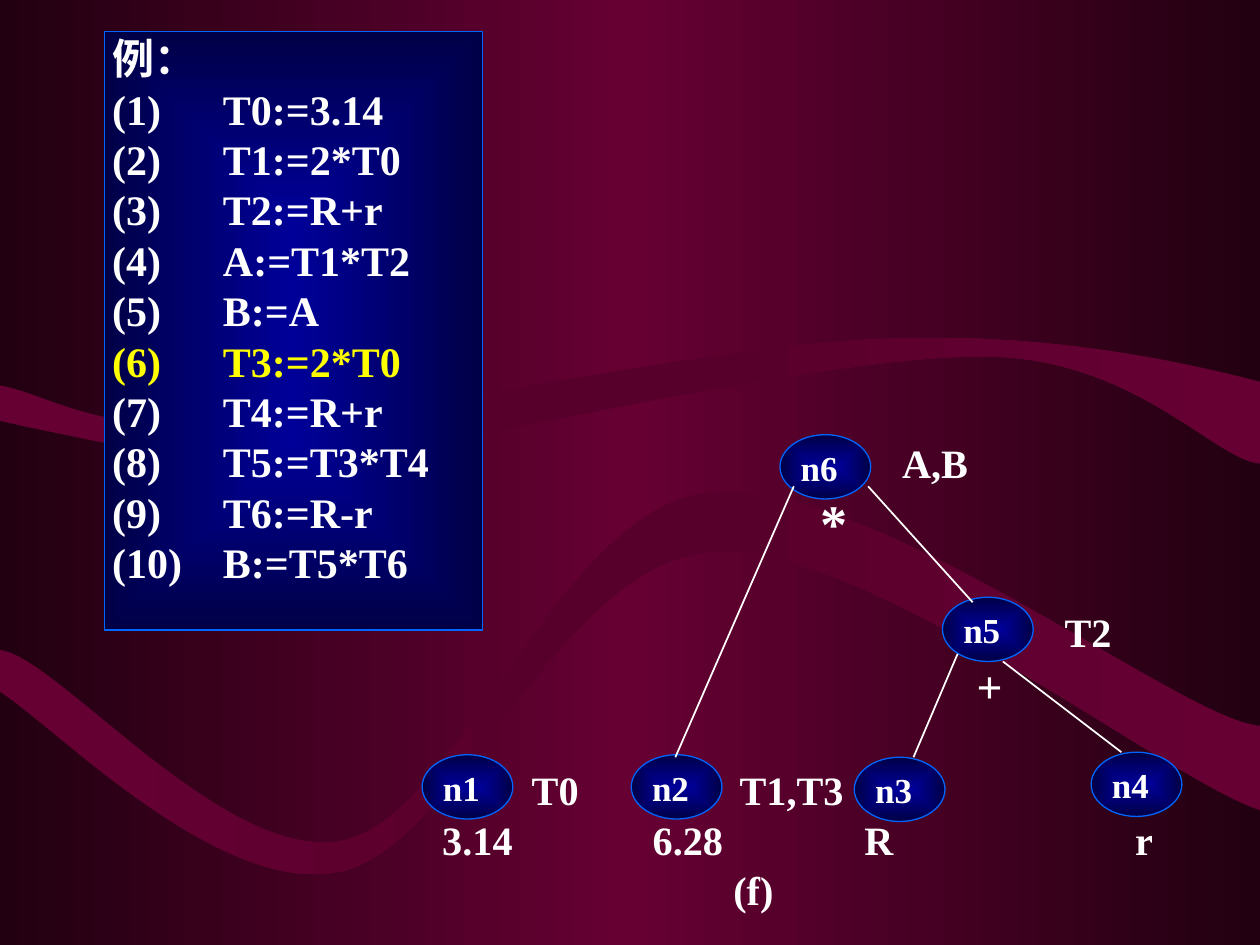
from typing import NamedTuple

from lxml import etree
from pptx import Presentation
from pptx.dml.color import RGBColor
from pptx.enum import shapes as kinds, text as modes
from pptx.oxml import ns
from pptx.util import Inches, Pt

WHITE = RGBColor(0xFF, 0xFF, 0xFF)
YELLOW = RGBColor(0xFF, 0xFF, 0x00)
EDGE = RGBColor(0x00, 0x66, 0xFF)
NAVY = RGBColor(0x00, 0x00, 0x47)
BLUE = RGBColor(0x00, 0x00, 0x99)
DARK = RGBColor(0x22, 0x00, 0x11)
WINE = RGBColor(0x66, 0x00, 0x33)
PLUM = RGBColor(0x56, 0x00, 0x2B)
FONT = "Times New Roman"


class Node(NamedTuple):
    name: str
    left: float
    top: float


class Label(NamedTuple):
    text: str
    left: float
    top: float
    width: float
    size: int = 23
    tabs: tuple = ()


class Edge(NamedTuple):
    x1: float
    y1: float
    x2: float
    y2: float


class Band(NamedTuple):
    upper: list
    lower: list


BANDS = [
    Band(
        [(0, 3.34), (0.37, 3.43), (1.75, 3.7), (2.22, 3.75), (2.69, 3.8),
         (1.9, 3.79), (2.82, 3.64), (3.75, 3.48), (6.6, 2.82), (7.8, 2.83),
         (9, 2.83), (9.63, 3.65), (10, 3.68)],
        [(10, 3.03), (9.5, 2.9), (8.36, 2.63), (7.01, 2.69), (5.66, 2.74),
         (3.07, 3.32), (1.9, 3.38), (0.73, 3.44), (0.4, 3.13), (0, 3.06)],
    ),
    Band(
        [(0, 5.49), (0.45, 5.78), (1.74, 7.11), (2.69, 6.92), (3.63, 6.74),
         (4.43, 4.46), (5.65, 4.38), (6.87, 4.29), (9.27, 6.2), (10, 6.43)],
        [(10, 5.76), (9.38, 5.72), (6.91, 3.77), (5.62, 3.91), (4.41, 4.06),
         (3.67, 6.46), (2.73, 6.67), (1.79, 6.87), (0.45, 5.2), (0, 5.16)],
    ),
]
NODES = [
    Node("n1", 3.35, 5.99), Node("n2", 5.01, 5.99), Node("n3", 6.78, 6.01),
    Node("n4", 8.66, 5.97), Node("n5", 7.48, 4.74), Node("n6", 6.19, 3.45),
]
LABELS = [
    Label("A,B", 7.16, 3.48, 0.56), Label("*", 6.51, 3.88, 0.22, 31),
    Label("T2", 8.45, 4.82, 0.4), Label("+", 7.75, 5.22, 0.21, 26),
    Label("T0\tT1,T3", 4.22, 6.07, 2.5, tabs=(1.65,)),
    Label("3.14\t6.28\tR\tr", 3.51, 6.47, 5.65, tabs=(1.67, 3.35, 5.5)),
    Label("(f)", 5.82, 6.87, 0.33),
]
EDGES = [
    Edge(6.3, 3.86, 5.36, 6.01), Edge(6.89, 3.86, 7.72, 4.78),
    Edge(7.6, 5.19, 7.25, 6.01), Edge(7.96, 5.25, 8.9, 5.97),
]
CODE = ["T0:=3.14", "T1:=2*T0", "T2:=R+r", "A:=T1*T2", "B:=A",
        "T3:=2*T0", "T4:=R+r", "T5:=T3*T4", "T6:=R-r", "B:=T5*T6"]
ACTIVE = 6


def shade(fill, root, colors: list, radial: bool = False) -> None:
    fill.gradient()
    grad = next(root.iter(ns.qn("a:gradFill")))
    for child in list(grad):
        grad.remove(child)
    stops = etree.SubElement(grad, ns.qn("a:gsLst"))
    for i, color in enumerate(colors):
        place = str(100000 * i // (len(colors) - 1))
        stop = etree.SubElement(stops, ns.qn("a:gs"), pos=place)
        etree.SubElement(stop, ns.qn("a:srgbClr"), val=str(color))
    if radial:
        way = etree.SubElement(grad, ns.qn("a:path"), path="rect")
        sides = dict.fromkeys("ltrb", "50000")
        etree.SubElement(way, ns.qn("a:fillToRect"), **sides)
    else:
        etree.SubElement(grad, ns.qn("a:lin"), ang="0", scaled="1")


def bend(lines: list) -> None:
    for i in range(0, len(lines), 3):
        arc = etree.Element(ns.qn("a:cubicBezTo"))
        lines[i].addprevious(arc)
        for line in lines[i:i + 3]:
            arc.append(line[0])
            line.getparent().remove(line)


def add_band(slide, band: Band) -> None:
    points = [(Inches(x), Inches(y)) for x, y in band.upper + band.lower]
    form = slide.shapes.build_freeform(*points[0])
    form.add_line_segments(points[1:], close=True)
    shape = form.convert_to_shape()
    lines = list(shape.element.iter(ns.qn("a:lnTo")))
    turn = len(band.upper)
    bend(lines[:turn - 1])
    bend(lines[turn:turn + len(band.lower) - 1])
    shape.shadow.inherit = False
    shape.line.fill.background()
    shade(shape.fill, shape.element, [WINE, PLUM, WINE])


def add_tabs(par, stops: tuple) -> None:
    tabs = etree.SubElement(par._p.get_or_add_pPr(), ns.qn("a:tabLst"))
    for stop in stops:
        etree.SubElement(tabs, ns.qn("a:tab"), pos=str(Inches(stop)), algn="l")


def style(par, size: int, color: RGBColor = WHITE) -> None:
    par.alignment = modes.PP_ALIGN.LEFT
    for run in par.runs:
        run.font.name = FONT
        run.font.size = Pt(size)
        run.font.bold = True
        run.font.color.rgb = color


def inset(frame, left: float, top: float, right: float, base: float) -> None:
    frame.margin_left, frame.margin_top = Inches(left), Inches(top)
    frame.margin_right, frame.margin_bottom = Inches(right), Inches(base)


def add_panel(slide, kind, left: float, top: float, width: float, height: float):
    shape = slide.shapes.add_shape(
        kind, Inches(left), Inches(top), Inches(width), Inches(height))
    shape.shadow.inherit = False
    shape.line.color.rgb = EDGE
    shape.line.width = Pt(0.75)
    shade(shape.fill, shape.element, [BLUE, NAVY], radial=True)
    return shape


def add_node(slide, node: Node) -> None:
    shape = add_panel(slide, kinds.MSO_SHAPE.OVAL, node.left, node.top, 0.72, 0.51)
    frame = shape.text_frame
    inset(frame, 0.06, 0.01, 0, 0)
    frame.vertical_anchor = modes.MSO_ANCHOR.MIDDLE
    frame.text = node.name
    style(frame.paragraphs[0], 20)


def add_label(slide, label: Label) -> None:
    box = slide.shapes.add_textbox(
        Inches(label.left), Inches(label.top),
        Inches(label.width), Inches(label.size / 60))
    frame = box.text_frame
    inset(frame, 0, 0, 0, 0)
    frame.word_wrap = False
    frame.text = label.text
    par = frame.paragraphs[0]
    if label.tabs:
        add_tabs(par, label.tabs)
    style(par, label.size)


def add_edge(slide, edge: Edge) -> None:
    line = slide.shapes.add_connector(
        kinds.MSO_CONNECTOR.STRAIGHT, *(Inches(v) for v in edge))
    line.line.color.rgb = WHITE
    line.line.width = Pt(1)
    etree.SubElement(line.element.spPr, ns.qn("a:effectLst"))


def add_code(slide) -> None:
    shape = add_panel(slide, kinds.MSO_SHAPE.RECTANGLE, 0.83, 0.25, 3, 4.75)
    frame = shape.text_frame
    inset(frame, 0.06, 0.01, 0.06, 0.01)
    frame.vertical_anchor = modes.MSO_ANCHOR.TOP
    rows = [f"({i})\t{code}" for i, code in enumerate(CODE, 1)]
    frame.text = "\n".join(["例："] + rows)
    for i, par in enumerate(frame.paragraphs):
        par.line_spacing = Pt(28.8)
        add_tabs(par, (0.88,))
        style(par, 24, YELLOW if i == ACTIVE else WHITE)


def main() -> None:
    deck = Presentation()
    deck.slide_width, deck.slide_height = Inches(10), Inches(7.5)
    slide = deck.slides.add_slide(deck.slide_layouts[6])
    shade(slide.background.fill, slide.element, [DARK, WINE, DARK])
    for draw, items in ((add_band, BANDS), (add_label, LABELS),
                        (add_node, NODES), (add_edge, EDGES)):
        for item in items:
            draw(slide, item)
    add_code(slide)
    deck.save("out.pptx")


if __name__ == "__main__":
    main()
